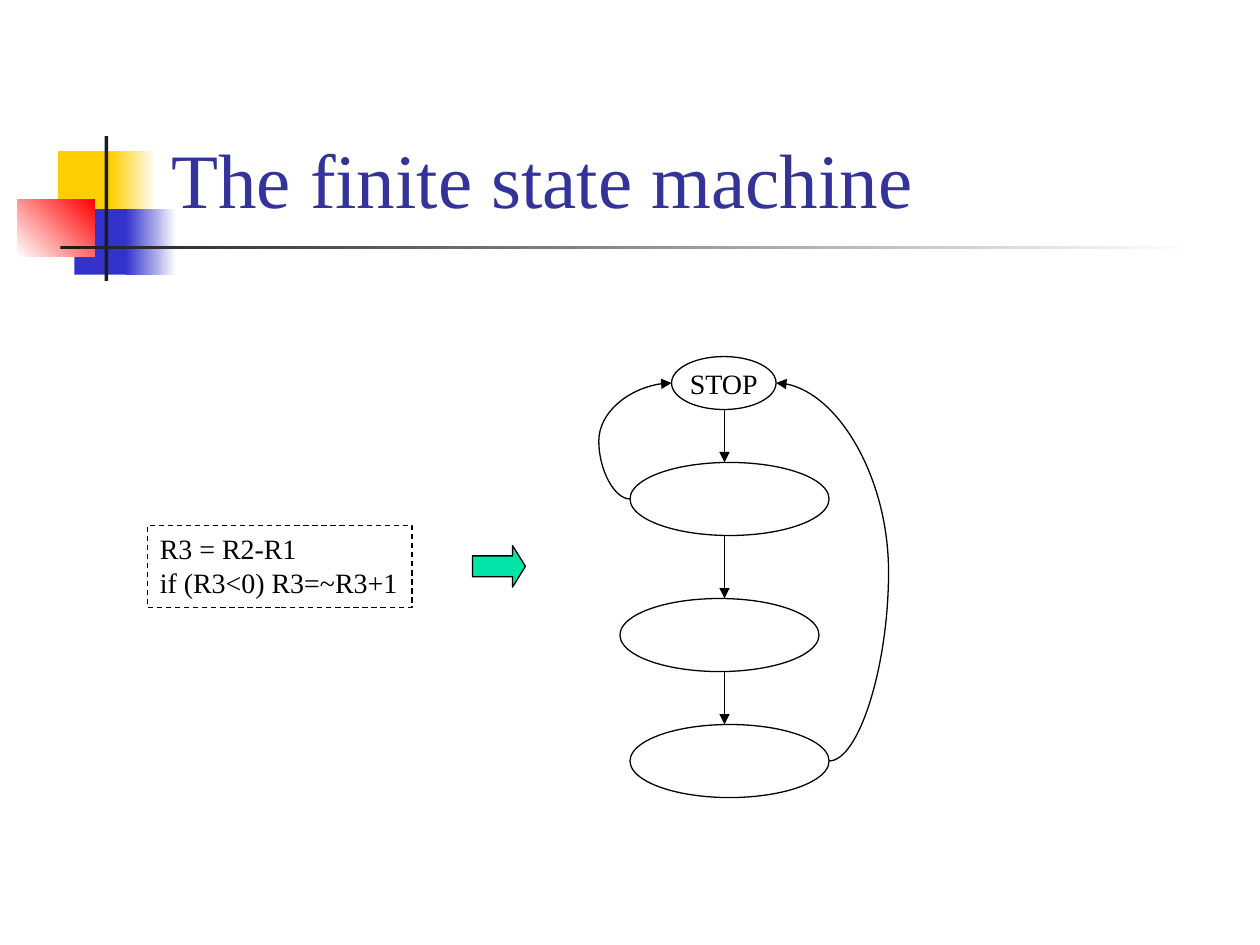
from lxml import etree
from pptx import Presentation
from pptx.dml.color import RGBColor
from pptx.enum.dml import MSO_LINE
from pptx.enum.shapes import MSO_CONNECTOR, MSO_SHAPE
from pptx.enum.text import MSO_ANCHOR, PP_ALIGN
from pptx.oxml.ns import qn
from pptx.util import Inches, Pt

RECT, OVAL, ARROW = MSO_SHAPE.RECTANGLE, MSO_SHAPE.OVAL, MSO_SHAPE.RIGHT_ARROW
STRAIGHT, CURVE = MSO_CONNECTOR.STRAIGHT, MSO_CONNECTOR.CURVE
LEFT, CENTER = PP_ALIGN.LEFT, PP_ALIGN.CENTER
TOP, MIDDLE, BOTTOM = MSO_ANCHOR.TOP, MSO_ANCHOR.MIDDLE, MSO_ANCHOR.BOTTOM
FONT = "Times New Roman"
BLACK, WHITE = "000000", "FFFFFF"

TITLE = "The finite state machine"
CODE = ["R3 = R2-R1", "if (R3<0) R3=~R3+1"]
DECORATION = [
    ((0.46, 1.2, 0.48, 0.52), ["FFCF01"], 0),
    ((0.88, 1.2, 0.36, 0.52), ["FFCF01", WHITE], 0),
    ((0.59, 1.66, 0.46, 0.52), ["3333CC"], 0),
    ((1, 1.66, 0.4, 0.52), ["3333CC", WHITE], 0),
    ((0.14, 1.58, 0.61, 0.46), [WHITE, "FF0000"], 45),
    ((0.83, 1.08, 0.03, 1.15), ["1C1C1C"], 0),
    ((0.48, 1.95, 9, 0.03), ["1C1C1C", WHITE], 0),
]
STATES = [
    ((5.33, 2.83, 0.83, 0.42), "STOP"),
    ((5, 3.67, 1.58, 0.58), ""),
    ((4.92, 4.75, 1.58, 0.58), ""),
    ((5, 5.75, 1.58, 0.58), ""),
]
FLOW_X = 5.75
RETURNS = [(1, "left", -0.75), (3, "right", -1.125)]


def rgb(color):
    """Turn a hex string into a colour."""
    return RGBColor.from_string(color)


def add_shape(s, kind, box, colors=(), angle=0, outline=True):
    """Add a preset shape with no, solid or gradient fill."""
    sp = s.shapes.add_shape(kind, *map(Inches, box))
    sp.shadow.inherit = False
    if len(colors) == 2:
        sp.fill.gradient()
        sp.fill.gradient_angle = angle
        for stop, color, position in zip(sp.fill.gradient_stops, colors, (0, 1)):
            stop.color.rgb = rgb(color)
            stop.position = position
    elif colors:
        sp.fill.solid()
        sp.fill.fore_color.rgb = rgb(colors[0])
    else:
        sp.fill.background()
    if outline:
        sp.line.color.rgb = rgb(BLACK)
        sp.line.width = Pt(0.75)
    else:
        sp.line.fill.background()
    return sp


def set_text(sp, lines, size=16, color=BLACK, align=LEFT, anchor=TOP, wrap=False):
    """Write one paragraph per line in a shape."""
    tf = sp.text_frame
    tf.word_wrap = wrap
    tf.vertical_anchor = anchor
    tf.text = "\n".join(lines)
    for p in tf.paragraphs:
        p.alignment = align
        p.font.name, p.font.size = FONT, Pt(size)
        p.font.color.rgb = rgb(color)


def add_arrow(s, kind, start, end, bend=None):
    """Add a connector with an arrowhead at its end."""
    cxn = s.shapes.add_connector(kind, *map(Inches, (*start, *end)))
    cxn.line.color.rgb = rgb(BLACK)
    cxn.line.width = Pt(0.75)
    sp_pr = cxn._element.spPr
    etree.SubElement(sp_pr.find(qn("a:ln")), qn("a:tailEnd"), type="triangle")
    etree.SubElement(sp_pr, qn("a:effectLst"))
    if bend is not None:
        guides = sp_pr.find(qn("a:prstGeom")).find(qn("a:avLst"))
        etree.SubElement(guides, qn("a:gd"), name="adj1", fmla=f"val {round(bend * 100000)}")


def side(box, name):
    """Return the middle of a box's left or right side."""
    x, y, w, h = box
    return (x if name == "left" else x + w), y + h / 2


def main():
    """Build and save the slide."""
    prs = Presentation()
    prs.slide_width, prs.slide_height = Inches(10), Inches(7.5)
    s = prs.slides.add_slide(prs.slide_layouts[6])

    for box, colors, angle in DECORATION:
        add_shape(s, RECT, box, colors, angle, outline=False)
    title = s.shapes.add_textbox(*map(Inches, (1.26, 0.23, 8.52, 1.6)))
    set_text(title, [TITLE], 44, "333399", anchor=BOTTOM, wrap=True)

    for box, label in STATES:
        sp = add_shape(s, OVAL, box)
        if label:
            set_text(sp, [label], align=CENTER, anchor=MIDDLE)
    boxes = [box for box, _ in STATES]
    for (_, y, _, h), below in zip(boxes, boxes[1:]):
        add_arrow(s, STRAIGHT, (FLOW_X, y + h), (FLOW_X, below[1]))
    for index, name, bend in RETURNS:
        add_arrow(s, CURVE, side(boxes[index], name), side(boxes[0], name), bend)

    code = add_shape(s, RECT, (1.17, 4.17, 2.1, 0.65))
    code.line.dash_style = MSO_LINE.DASH
    set_text(code, CODE)
    arrow = add_shape(s, ARROW, (3.75, 4.33, 0.42, 0.33), ["00E4A8"])
    arrow.adjustments[1] = 0.31
    prs.save("out.pptx")


if __name__ == "__main__":
    main()
